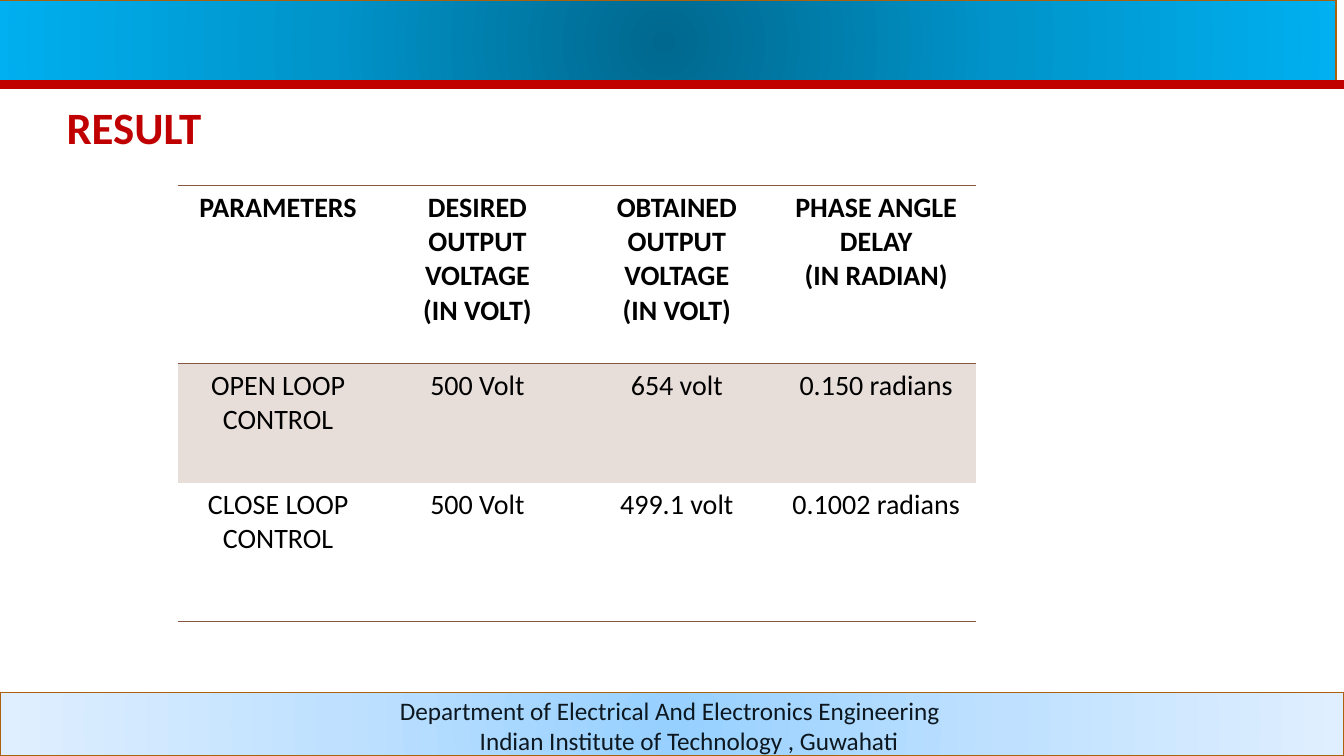
from pptx import Presentation
from pptx.dml.color import RGBColor
from pptx.enum import shapes, text
from pptx.oxml import parse_xml
from pptx.oxml.ns import nsdecls, qn
from pptx.util import Inches, Pt
from lxml import etree

RED = RGBColor(0xC0, 0x00, 0x00)
BLACK = RGBColor(0x00, 0x00, 0x00)
INK = RGBColor(0x0D, 0x17, 0x1F)
BAND_EDGE = RGBColor(0xA9, 0x61, 0x0D)
RULE = RGBColor(0x86, 0x56, 0x40)
ROW_TINT = RGBColor(0xE7, 0xDD, 0xD9)
HEADER_BLUES = [RGBColor(0x00, 0x68, 0x8E), RGBColor(0x00, 0x94, 0xCA), RGBColor(0x00, 0xB0, 0xF0)]
FOOTER_BLUES = [RGBColor(0x96, 0xD0, 0xFF), RGBColor(0xBF, 0xE1, 0xFF), RGBColor(0xE0, 0xEF, 0xFF)]

NO_GRID_STYLE = "{2D5ABB26-0587-4C30-8999-92F81FD0307C}"
COLUMN_HEADS = [
    ["PARAMETERS"],
    ["DESIRED OUTPUT VOLTAGE", "(IN VOLT)"],
    ["OBTAINED OUTPUT VOLTAGE", "(IN VOLT)"],
    ["PHASE ANGLE", "DELAY", "(IN RADIAN)"],
]
RESULTS = [
    [["OPEN LOOP CONTROL"], ["500 Volt"], ["654 volt"], ["0.150 radians"]],
    [["CLOSE LOOP CONTROL"], ["500 Volt"], ["499.1 volt"], ["0.1002 radians"]],
]
ROW_HEIGHTS = [1.77, 1.18, 1.38]


def write(frame, lines, size, color, bold=False, align=text.PP_ALIGN.CENTER):
    """Fill a text frame with one paragraph per line."""
    frame.word_wrap = True
    for i, line in enumerate(lines):
        paragraph = frame.paragraphs[0] if i == 0 else frame.add_paragraph()
        paragraph.alignment = align
        run = paragraph.add_run()
        run.text = line
        run.font.name = "Calibri"
        run.font.size = Pt(size)
        run.font.bold = bold
        run.font.color.rgb = color


def add_band(slide, left, top, width, height, blues):
    """Rectangle with a gradient that spreads from its centre."""
    band = slide.shapes.add_shape(
        shapes.MSO_SHAPE.RECTANGLE, Inches(left), Inches(top), Inches(width), Inches(height))
    band.shadow.inherit = False
    band.line.color.rgb = BAND_EDGE
    band.line.width = Pt(1.25)
    stops = "".join(
        f'<a:gs pos="{i * 50000}"><a:srgbClr val="{blue}"/></a:gs>' for i, blue in enumerate(blues))
    gradient = parse_xml(
        f'<a:gradFill {nsdecls("a")} rotWithShape="1"><a:gsLst>{stops}</a:gsLst><a:path path="circle">'
        '<a:fillToRect l="50000" t="50000" r="50000" b="50000"/></a:path></a:gradFill>')
    band.fill.background()
    properties = band._element.spPr
    properties.replace(properties.find(qn("a:noFill")), gradient)


def add_header(slide, left, top, width, height):
    add_band(slide, left, top, width, height, HEADER_BLUES)
    bottom = Inches(top + height)
    rule = slide.shapes.add_connector(
        shapes.MSO_CONNECTOR.STRAIGHT, 0, bottom, Inches(width), bottom)
    rule.line.color.rgb = RED
    rule.line.width = Pt(6)
    etree.SubElement(rule._element.spPr, qn("a:effectLst"))


def add_title(slide, left, top, width, height):
    title = slide.shapes.title
    title.left, title.top = Inches(left), Inches(top)
    title.width, title.height = Inches(width), Inches(height)
    frame = title.text_frame
    frame.auto_size = text.MSO_AUTO_SIZE.NONE
    frame.vertical_anchor = text.MSO_ANCHOR.TOP
    write(frame, ["RESULT"], 32, RED, bold=True, align=text.PP_ALIGN.LEFT)
    frame.paragraphs[0].line_spacing = Pt(28.8)


def add_border(cell, side):
    """Draw one cell edge; side is lnT or lnB."""
    cell._tc.get_or_add_tcPr().insert(0, parse_xml(
        f'<a:{side} {nsdecls("a")} w="12700"><a:solidFill><a:srgbClr val="{RULE}"/>'
        f'</a:solidFill></a:{side}>'))


def add_results(slide, left, top, width, height):
    rows = [COLUMN_HEADS] + RESULTS
    table = slide.shapes.add_table(
        len(rows), len(COLUMN_HEADS), Inches(left), Inches(top), Inches(width), Inches(height)).table
    table._tbl.tblPr.find(qn("a:tableStyleId")).text = NO_GRID_STYLE
    table.horz_banding = False
    for column in table.columns:
        column.width = Inches(width / len(COLUMN_HEADS))
    for r, row in enumerate(rows):
        table.rows[r].height = Inches(ROW_HEIGHTS[r])
        for c, lines in enumerate(row):
            cell = table.cell(r, c)
            write(cell.text_frame, lines, 20, BLACK, bold=r == 0)
            if r == 1:
                cell.fill.solid()
                cell.fill.fore_color.rgb = ROW_TINT
            else:
                cell.fill.background()
                add_border(cell, "lnB")
            if r == 0:
                add_border(cell, "lnT")


def add_footer(slide, left, top, width, height):
    add_band(slide, left, top, width, height, FOOTER_BLUES)
    address = slide.shapes.add_textbox(
        Inches(left + 1.1), Inches(top - 0.02), Inches(9.8), Inches(0.71))
    write(address.text_frame, ["Department of Electrical And Electronics Engineering",
                               "Indian Institute of Technology , Guwahati"], 18, INK)
    for paragraph, indent in zip(address.text_frame.paragraphs, (1.29, 1.67)):
        paragraph._p.get_or_add_pPr().set("marL", str(Inches(indent)))


def main():
    deck = Presentation()
    deck.slide_width, deck.slide_height = Inches(13.33), Inches(7.5)
    slide = deck.slides.add_slide(deck.slide_layouts[5])
    add_header(slide, -0.08, 0, 13.33, 0.84)
    add_title(slide, 0.56, 1.07, 12.16, 0.6)
    add_results(slide, 1.77, 1.84, 7.91, sum(ROW_HEIGHTS))
    add_footer(slide, 0, 6.87, 13.33, 0.63)
    deck.save("out.pptx")


if __name__ == "__main__":
    main()
